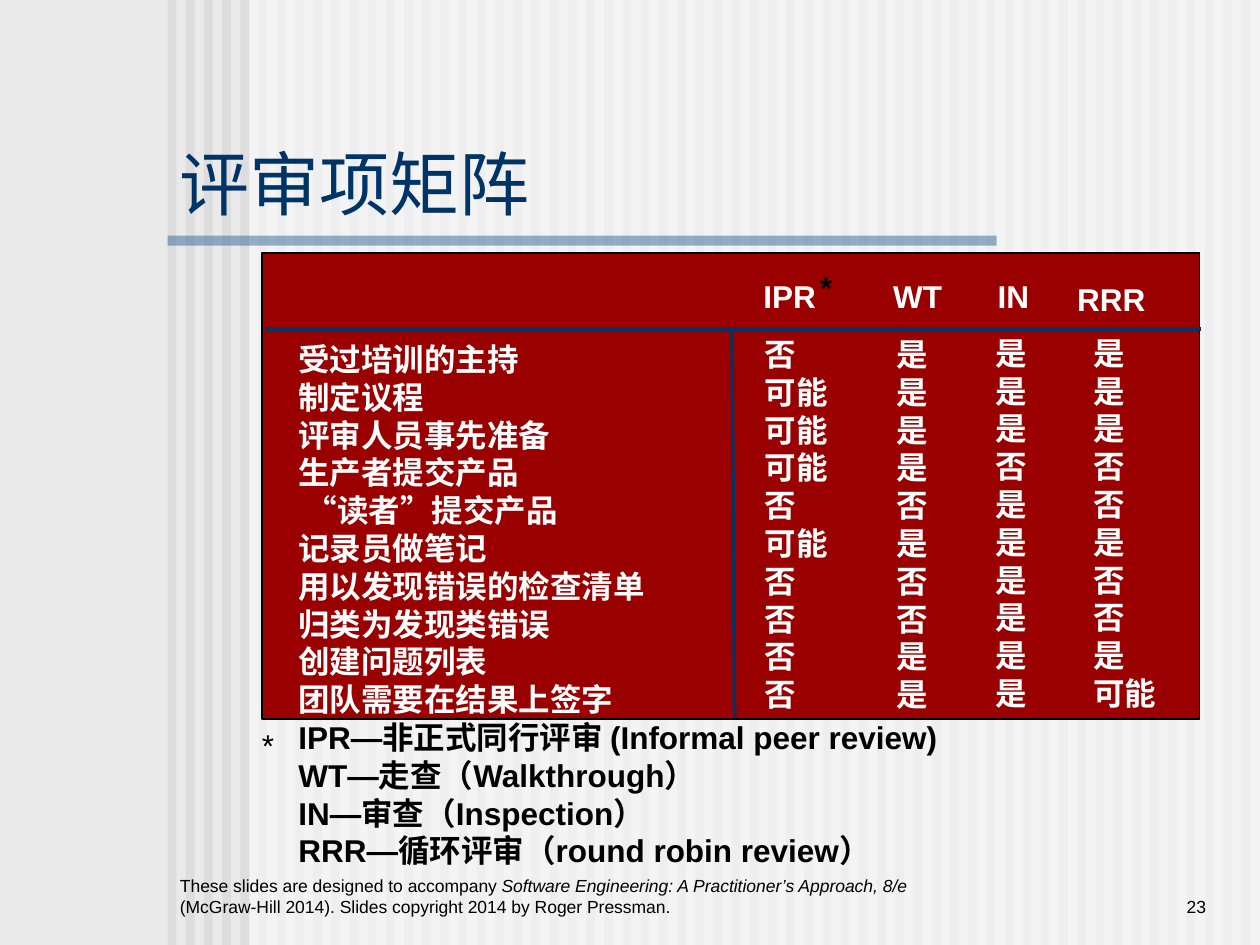
from dataclasses import dataclass

import pptx
import pptx.dml.color
import pptx.enum.shapes
import pptx.enum.text
import pptx.oxml.ns
import pptx.util
from lxml import etree

ALIGN = pptx.enum.text.PP_ALIGN
ANCHOR = pptx.enum.text.MSO_ANCHOR
COLS, ROWS = 100, 75


@dataclass(frozen=True)
class Theme:
    font: str = "Arial"
    page: str = "EAEAEA"
    stripe: str = "DDDDDD"
    veil: str = "FFFFFF"
    rule: str = "336699"
    navy: str = "003366"
    panel: str = "9A0000"
    light: str = "FFFFFF"
    dark: str = "000000"
    title_size: int = 40
    body_size: int = 18
    footer_size: int = 10


@dataclass(frozen=True)
class Box:
    col: float
    row: float
    cols: float
    rows: float


@dataclass(frozen=True)
class Style:
    size: int
    color: str
    bold: bool = False
    align: ALIGN = ALIGN.LEFT
    anchor: ANCHOR = ANCHOR.TOP
    wrap: bool = True


@dataclass(frozen=True)
class Column:
    name: str
    heading: Box
    answers: Box


THEME = Theme()
LABEL = Style(THEME.body_size, THEME.light, bold=True, wrap=False)
FOOTER = Style(THEME.footer_size, THEME.dark, anchor=ANCHOR.BOTTOM)

COLUMNS = [
    Column("IPR", Box(59.6, 21.5, 6.2, 4), Box(59.7, 26.1, 7, 31)),
    Column("WT", Box(69.9, 21.5, 5.9, 4), Box(70.2, 26.1, 4.5, 31)),
    Column("IN", Box(78.2, 21.5, 4.5, 4), Box(78, 26, 4.5, 31)),
    Column("RRR", Box(84.5, 21.7, 7.4, 4), Box(85.8, 26, 7, 31)),
]
MATRIX = [
    ("受过培训的主持", "否", "是", "是", "是"),
    ("制定议程", "可能", "是", "是", "是"),
    ("评审人员事先准备", "可能", "是", "是", "是"),
    ("生产者提交产品", "可能", "是", "否", "否"),
    (" “读者”提交产品", "否", "否", "是", "否"),
    ("记录员做笔记", "可能", "是", "是", "是"),
    ("用以发现错误的检查清单", "否", "否", "是", "否"),
    ("归类为发现类错误", "否", "否", "是", "否"),
    ("创建问题列表", "否", "是", "是", "是"),
    ("团队需要在结果上签字", "否", "是", "是", "可能"),
]
LEGEND = [
    "IPR—非正式同行评审 (Informal peer review)",
    "WT—走查（Walkthrough）",
    "IN—审查（Inspection）",
    "RRR—循环评审（round robin review）",
]
FOOTER_PARTS = [
    ("These slides are designed to accompany ", False),
    ("Software Engineering: A Practitioner’s Approach, 8/e ", True),
    ("(McGraw-Hill 2014). Slides copyright 2014 by Roger Pressman.", False),
]

prs = pptx.Presentation()
prs.slide_width = pptx.util.Inches(10)
prs.slide_height = pptx.util.Inches(7.5)
s = prs.slides.add_slide(prs.slide_layouts[6])


def rgb(color: str) -> pptx.dml.color.RGBColor:
    return pptx.dml.color.RGBColor.from_string(color)


def x(col: float) -> int:
    return round(prs.slide_width * col / COLS)


def y(row: float) -> int:
    return round(prs.slide_height * row / ROWS)


def frame(box: Box) -> tuple[int, int, int, int]:
    return x(box.col), y(box.row), x(box.cols), y(box.rows)


def add_rect(box: Box, fill: str, alpha: int = 100, line: str | None = None) -> None:
    sp = s.shapes.add_shape(pptx.enum.shapes.MSO_SHAPE.RECTANGLE, *frame(box))
    sp.shadow.inherit = False
    sp.fill.solid()
    sp.fill.fore_color.rgb = rgb(fill)
    if alpha < 100:
        clr = sp.fill._xPr.find(".//" + pptx.oxml.ns.qn("a:srgbClr"))
        etree.SubElement(clr, pptx.oxml.ns.qn("a:alpha"), val=str(alpha * 1000))
    if line:
        sp.line.color.rgb = rgb(line)
        sp.line.width = pptx.util.Pt(1)
    else:
        sp.line.fill.background()


def add_rule(start: tuple[float, float], end: tuple[float, float]) -> None:
    line = s.shapes.add_connector(
        pptx.enum.shapes.MSO_CONNECTOR.STRAIGHT,
        x(start[0]), y(start[1]), x(end[0]), y(end[1]))
    line.line.color.rgb = rgb(THEME.navy)
    line.line.width = pptx.util.Pt(2)
    etree.SubElement(line._element.spPr, pptx.oxml.ns.qn("a:effectLst"))


def format_run(r: pptx.text.text._Run, style: Style, color: str) -> None:
    r.font.name = THEME.font
    r.font.size = pptx.util.Pt(style.size)
    r.font.bold = style.bold
    r.font.color.rgb = rgb(color)


def add_text(box: Box, lines: list[str], style: Style) -> pptx.text.text.TextFrame:
    tf = s.shapes.add_textbox(*frame(box)).text_frame
    tf.word_wrap = style.wrap
    tf.vertical_anchor = style.anchor
    tf.text = "\n".join(lines)
    for p in tf.paragraphs:
        p.alignment = style.align
        for r in p.runs:
            format_run(r, style, style.color)
    return tf


def draw_backdrop() -> None:
    s.background.fill.solid()
    s.background.fill.fore_color.rgb = rgb(THEME.page)
    first, last, count = 13.3, 98.5, 60
    pitch = (last - first) / (count - 1)
    for i in range(count):
        add_rect(Box(first + i * pitch, 0, 0.7, ROWS), THEME.stripe)
    add_rect(Box(19.8, 0, 80.2, ROWS), THEME.veil, alpha=50)
    add_rect(Box(13.3, 18.7, 65.8, 0.8), THEME.rule, alpha=50)


def draw_footer() -> None:
    tf = add_text(Box(13.3, 68.3, 60, 5), [], FOOTER)
    for text, italic in FOOTER_PARTS:
        r = tf.paragraphs[0].add_run()
        r.text = text
        format_run(r, FOOTER, THEME.dark)
        r.font.italic = italic
    add_text(Box(82.5, 68.3, 14.2, 5), ["23"],
             Style(THEME.footer_size, THEME.dark, align=ALIGN.RIGHT, anchor=ANCHOR.BOTTOM))


def draw_matrix() -> None:
    add_rect(Box(20.8, 20.1, 74.4, 37), THEME.panel, line=THEME.dark)
    labels, *answers = zip(*MATRIX)
    tf = add_text(Box(22.7, 26.5, 72.9, 43), [*labels, *LEGEND],
                  Style(THEME.body_size, THEME.light, bold=True))
    for p in tf.paragraphs[len(labels):]:
        for r in p.runs:
            r.font.color.rgb = rgb(THEME.dark)
    for column, values in zip(COLUMNS, answers):
        add_text(column.heading, [column.name], LABEL)
        add_text(column.answers, list(values), LABEL)
    for box, bold in ((Box(64.1, 20.8, 3, 4), True), (Box(19.8, 57.1, 3, 4), False)):
        add_text(box, ["*"], Style(THEME.body_size, THEME.dark, bold=bold, wrap=False))
    add_rule((21, 26.1), (95.3, 26.1))
    add_rule((58.1, 26.1), (58.3, 56.9))


def main() -> None:
    draw_backdrop()
    draw_footer()
    add_text(Box(13.3, 10.8, 78.3, 7.4), ["评审项矩阵"],
             Style(THEME.title_size, THEME.navy, anchor=ANCHOR.MIDDLE))
    draw_matrix()
    prs.save("out.pptx")


if __name__ == "__main__":
    main()
